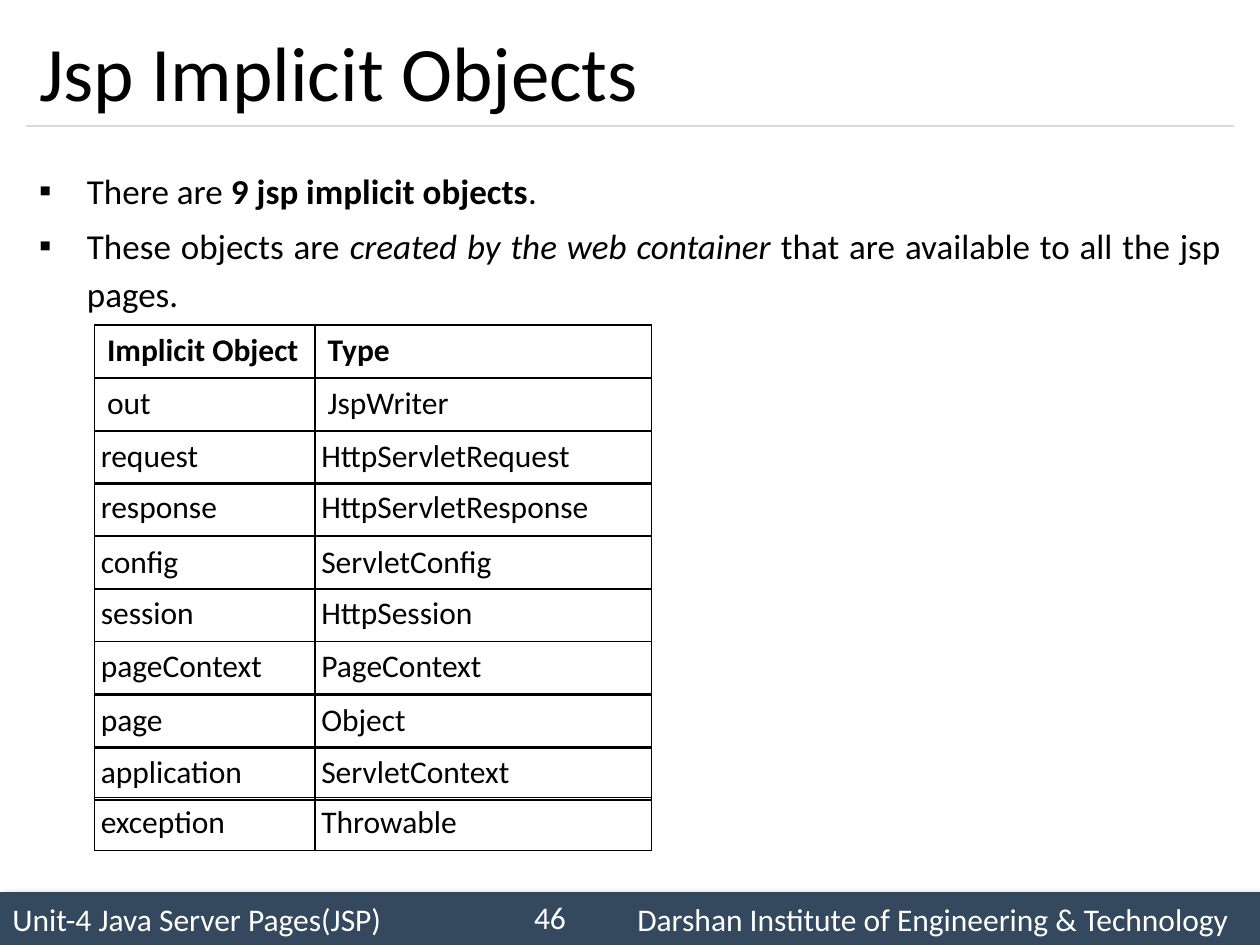
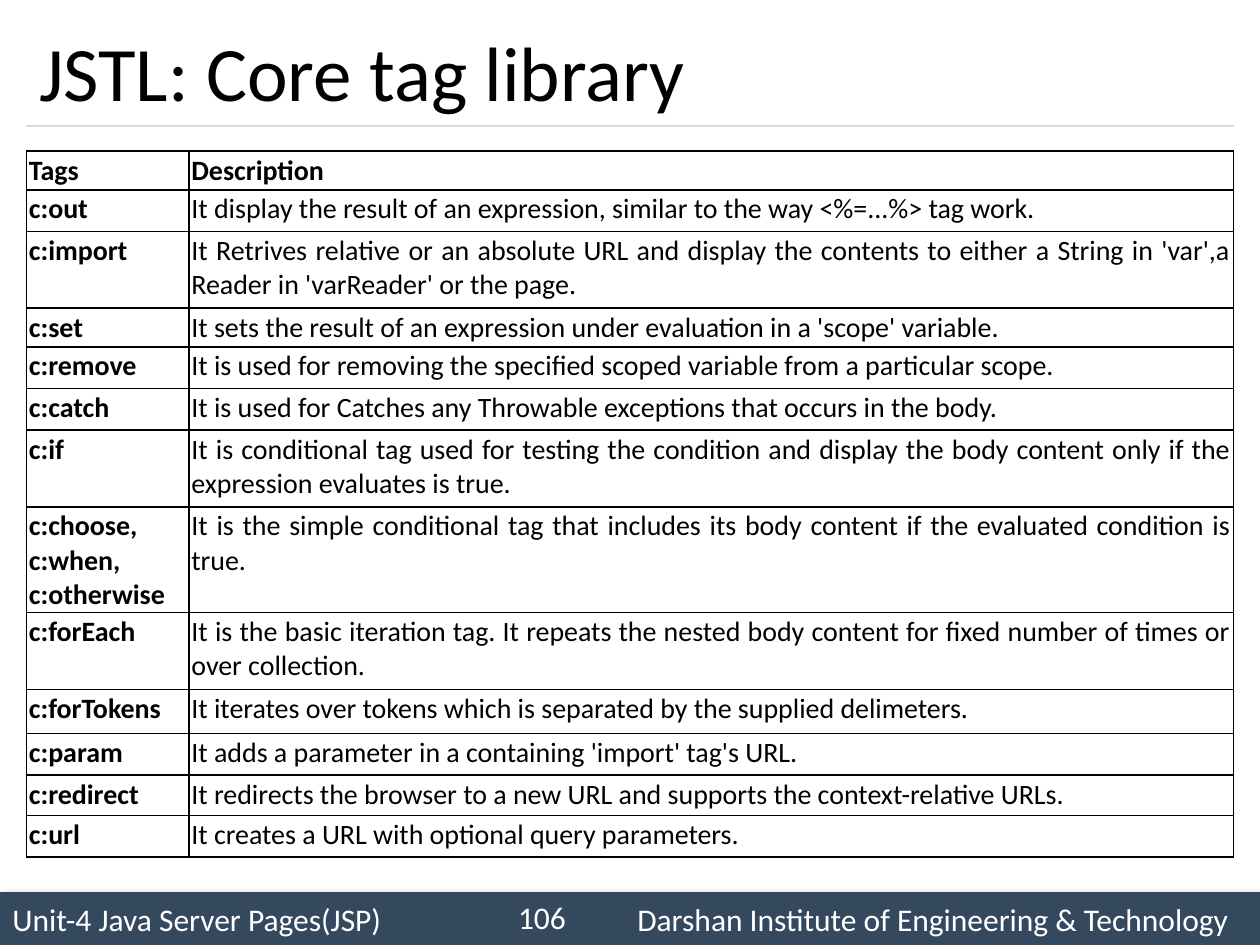
import pptx
import pptx.util
import pptx.dml.color
import pptx.enum.shapes
import pptx.enum.text
import pptx.oxml
import pptx.oxml.ns

Inches, Pt = pptx.util.Inches, pptx.util.Pt
ALIGN = pptx.enum.text.PP_ALIGN
ANCHOR = pptx.enum.text.MSO_ANCHOR

# Content
UNIT = "Unit-4 Java Server Pages(JSP)"
INSTITUTE = "Darshan Institute of Engineering & Technology"

# Each point is a list of (text, style) runs
IMPLICIT_POINTS = [
    [("There are ", ""), ("9 jsp implicit objects", "bold"), (".", "")],
    [("These objects are ", ""), ("created by the web container", "italic"),
     (" that are available to all the jsp pages.", "")],
]
# Top, implicit object, type: each entry is a one-row table of its own
IMPLICIT_OBJECTS = [
    (2.58, "Implicit Object", "Type"),
    (3, "out", "JspWriter"),
    (3.42, "request", "HttpServletRequest"),
    (3.83, "response", "HttpServletResponse"),
    (4.26, "config", "ServletConfig"),
    (4.67, "session", "HttpSession"),
    (5.09, "pageContext", "PageContext"),
    (5.52, "page", "Object"),
    (5.93, "application", "ServletContext"),
    (6.33, "exception", "Throwable"),
]
# Least row height, tag, description
CORE_TAGS = [
    (0.24, "Tags", "Description"),
    (0.33, "c:out", "It display the result of an expression, similar to the way <%=...%> tag work."),
    (0.61, "c:import", "It Retrives relative or an absolute URL and display the contents to either "
                       "a String in 'var',a Reader in 'varReader' or the page."),
    (0.3, "c:set", "It sets the result of an expression under evaluation in a 'scope' variable."),
    (0.33, "c:remove", "It is used for removing the specified scoped variable from a particular scope."),
    (0.33, "c:catch", "It is used for Catches any Throwable exceptions that occurs in the body."),
    (0.61, "c:if", "It is conditional tag used for testing the condition and display the body "
                   "content only if the expression evaluates is true."),
    (0.47, "c:choose, c:when, c:otherwise", "It is the simple conditional tag that includes its body "
                                            "content if the evaluated condition is true."),
    (0.61, "c:forEach", "It is the basic iteration tag. It repeats the nested body content for fixed "
                        "number of times or over collection."),
    (0.35, "c:forTokens", "It iterates over tokens which is separated by the supplied delimeters."),
    (0.33, "c:param", "It adds a parameter in a containing 'import' tag's URL."),
    (0.32, "c:redirect", "It redirects the browser to a new URL and supports the context-relative URLs."),
    (0.33, "c:url", "It creates a URL with optional query parameters."),
]

# Shared style
COLORS = {"text": "000000", "band": "34495E", "band_text": "FFFFFF", "rule": "D9D9D9"}
FONT = "Calibri"
MARGIN, CONTENT_WIDTH = 0.21, 9.58
RULE_TOP, BAND_TOP, BAND_HEIGHT = 1, 7.08, 0.42


def rgb(name):
    return pptx.dml.color.RGBColor.from_string(COLORS[name])


def xml(markup):
    head, tail = markup.split(" ", 1)
    return pptx.oxml.parse_xml(f"{head} {pptx.oxml.ns.nsdecls('a')} {tail}")


def add_run(paragraph, text, size, color="text", style=""):
    run = paragraph.add_run()
    run.text = text
    run.font.name, run.font.size = FONT, Pt(size)
    run.font.color.rgb = rgb(color)
    run.font.bold, run.font.italic = style == "bold", style == "italic"


def place(shape, left, top, width, height):
    shape.left, shape.top = Inches(left), Inches(top)
    shape.width, shape.height = Inches(width), Inches(height)


def add_footer(slide, number):
    band = slide.shapes.add_shape(pptx.enum.shapes.MSO_SHAPE.RECTANGLE, 0, Inches(BAND_TOP),
                                  Inches(10), Inches(BAND_HEIGHT))
    band.fill.solid()
    band.fill.fore_color.rgb = rgb("band")
    band.line.fill.background()
    band.shadow.inherit = False
    effects = band._element.spPr.find(pptx.oxml.ns.qn("a:effectLst"))
    effects.append(xml(
        f'<a:outerShdw blurRad="{Pt(4)}" dist="{Pt(3)}" dir="2700000" rotWithShape="0">'
        '<a:srgbClr val="000000"><a:alpha val="40000"/></a:srgbClr></a:outerShdw>'))
    band.text_frame.vertical_anchor = ANCHOR.MIDDLE
    credits = band.text_frame.paragraphs[0]
    credits.alignment = ALIGN.LEFT
    credits._p.get_or_add_pPr().append(xml(
        f'<a:tabLst ><a:tab pos="{Inches(4.96)}" algn="l"/></a:tabLst>'))
    add_run(credits, f"{UNIT}\t{INSTITUTE}", 18, "band_text")

    page = slide.shapes.add_textbox(Inches(3.92), Inches(BAND_TOP), Inches(0.67), Inches(0.4))
    page.text_frame.word_wrap = True
    page.text_frame.vertical_anchor = ANCHOR.MIDDLE
    page.text_frame.paragraphs[0].alignment = ALIGN.RIGHT
    add_run(page.text_frame.paragraphs[0], str(number), 18, "band_text")


def add_base_slide(deck, layout, title, number):
    slide = deck.slides.add_slide(deck.slide_layouts[layout])
    heading = slide.shapes.title
    place(heading, MARGIN, 0.12, CONTENT_WIDTH, 0.88)
    heading.text_frame.auto_size = pptx.enum.text.MSO_AUTO_SIZE.NONE
    heading.text_frame.vertical_anchor = ANCHOR.MIDDLE
    heading.text_frame.paragraphs[0].alignment = ALIGN.LEFT
    add_run(heading.text_frame.paragraphs[0], title, 44)

    rule = slide.shapes.add_connector(
        pptx.enum.shapes.MSO_CONNECTOR.STRAIGHT, Inches(MARGIN), Inches(RULE_TOP),
        Inches(MARGIN + CONTENT_WIDTH), Inches(RULE_TOP))
    rule.line.color.rgb, rule.line.width = rgb("rule"), Pt(0.75)
    rule._element.spPr.append(xml("<a:effectLst />"))
    add_footer(slide, number)
    return slide


def add_points(slide, points):
    body = slide.placeholders[1]
    place(body, MARGIN, 1.25, CONTENT_WIDTH, 5.83)
    frame = body.text_frame
    frame.auto_size = pptx.enum.text.MSO_AUTO_SIZE.NONE
    for index, runs in enumerate(points):
        point = frame.add_paragraph() if index else frame.paragraphs[0]
        point.alignment = ALIGN.JUSTIFY
        point.line_spacing = 1.14
        point.space_before = Pt(4 if index else 0)
        properties = point._p.get_or_add_pPr()
        properties.set("marL", str(Inches(0.38)))
        properties.set("indent", str(-Inches(0.38)))
        properties.append(xml(f'<a:buFont typeface="{FONT}"/>'))
        properties.append(xml('<a:buChar char="▪"/>'))
        for text, style in runs:
            add_run(point, text, 20, style=style)


def fill_cell(cell, text, size, style, alignment, side_inset, end_inset):
    cell.margin_left = cell.margin_right = Inches(side_inset)
    cell.margin_top = cell.margin_bottom = Inches(end_inset)
    cell.fill.background()
    for index, side in enumerate("LRTB"):
        cell._tc.tcPr.insert(index, xml(
            f'<a:ln{side} w="{Pt(1)}"><a:solidFill><a:srgbClr val="{COLORS["text"]}"/>'
            f'</a:solidFill></a:ln{side}>'))
    paragraph = cell.text_frame.paragraphs[0]
    paragraph.alignment = alignment
    add_run(paragraph, text, size, style=style)


def add_grid(slide, left, top, widths, heights, total_height):
    frame = slide.shapes.add_table(len(heights), len(widths), Inches(left), Inches(top),
                                   Inches(sum(widths)), Inches(total_height))
    grid = frame.table
    grid.first_row = grid.horz_banding = False
    for column, width in zip(grid.columns, widths):
        column.width = Inches(width)
    for row, height in zip(grid.rows, heights):
        row.height = Inches(height)
    frame.height = Inches(total_height)
    return grid


def build_implicit_objects(deck):
    slide = add_base_slide(deck, 1, "Jsp Implicit Objects", 46)
    add_points(slide, IMPLICIT_POINTS)
    for r, (top, *entry) in enumerate(IMPLICIT_OBJECTS):
        strip = add_grid(slide, 0.75, top, [1.75, 2.67], [0.42], 0.42)
        for c, text in enumerate(entry):
            fill_cell(strip.cell(0, c), text, 18, "bold" if r == 0 else "",
                      ALIGN.LEFT if r < 2 else ALIGN.JUSTIFY, 0.1 if r < 2 else 0.05, 0.05)


def build_core_tags(deck):
    slide = add_base_slide(deck, 5, "JSTL: Core tag library", 106)
    heights = [height for height, *_ in CORE_TAGS]
    tags = add_grid(slide, MARGIN, 1.2, [1.29, 8.29], heights, 5.62)
    for r, (_, *entry) in enumerate(CORE_TAGS):
        for c, text in enumerate(entry):
            # The three-tag cell wraps, so it stays ragged
            justified = r > 0 and "," not in entry[0][:9]
            fill_cell(tags.cell(r, c), text, 16, "bold" if r == 0 or c == 0 else "",
                      ALIGN.JUSTIFY if justified or (r and c) else ALIGN.LEFT, 0.02, 0.02)


def main():
    deck = pptx.Presentation()
    deck.slide_width, deck.slide_height = Inches(10), Inches(7.5)
    build_implicit_objects(deck)
    build_core_tags(deck)
    deck.save("out.pptx")


if __name__ == "__main__":
    main()
